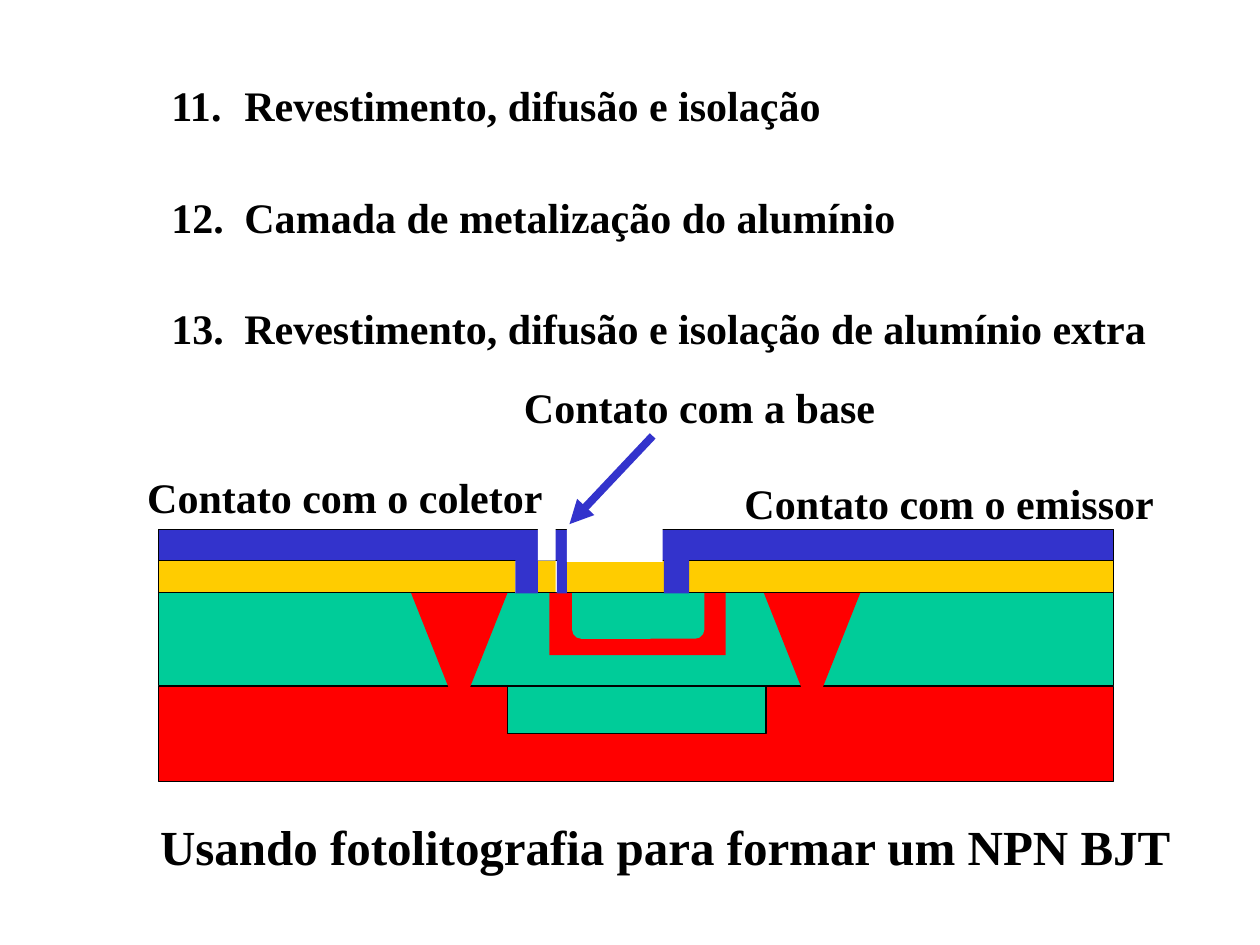
from dataclasses import dataclass
from lxml.etree import SubElement
from pptx import Presentation
from pptx.dml.color import RGBColor
from pptx.enum.shapes import MSO_CONNECTOR as Link, MSO_SHAPE as Kind
from pptx.enum.text import MSO_ANCHOR as Anchor, MSO_AUTO_SIZE as Auto, PP_ALIGN as Align
from pptx.oxml.ns import qn
from pptx.util import Inches, Pt

COLS, ROWS = 100, 75
WIDE, HIGH = Inches(10), Inches(7.5)
RED, GREEN, GOLD, BLUE = "FF0000", "00CC99", "FFCC00", "3333CC"
WHITE, BLACK = "FFFFFF", "000000"
FONT = "Times New Roman"


@dataclass
class Box:
    col: float
    row: float
    cols: float
    rows: float


@dataclass
class Part:
    box: Box
    fill: str
    edge: bool = False
    kind: int = Kind.RECTANGLE
    turn: int = 0


@dataclass
class Label:
    text: str
    box: Box


def layer(row: float, rows: float, fill: str) -> Part:
    return Part(Box(12.6, row, 75.8, rows), fill, True)


def wall(col: float) -> Part:
    return Part(Box(col, 47, 7.7, 9.7), RED, False, Kind.ISOSCELES_TRIANGLE, 180)


PARTS = [
    layer(54.5, 7.5, RED),
    Part(Box(40.3, 54.5, 20.5, 3.7), GREEN, True),
    layer(46.9, 7.5, GREEN),
    wall(32.6),
    wall(60.6),
    Part(Box(43.6, 47, 14, 5), RED),
    Part(Box(45.4, 46.3, 10.5, 4.4), GREEN, False, Kind.ROUNDED_RECTANGLE),
    layer(44.5, 2.5, GOLD),
    Part(Box(40.9, 43.4, 1.8, 3.65), WHITE),
    Part(Box(44.1, 43.8, 0.9, 3.2), WHITE),
    Part(Box(52.7, 43.3, 1.8, 3.7), WHITE),
    layer(42, 2.5, BLUE),
    Part(Box(40.9, 43, 1.8, 4.1), BLUE),
    Part(Box(44.2, 42.6, 0.8, 4.5), BLUE),
    Part(Box(52.7, 43.9, 2, 3.2), BLUE),
    Part(Box(42.7, 41.1, 1.4, 3.4), WHITE),
    Part(Box(45, 40.9, 7.6, 3.7), WHITE),
]
LABELS = [
    Label("Contato com o coletor", Box(10.7, 36.9, 33.4, 5)),
    Label("Contato com o emissor", Box(58.1, 37.4, 34.5, 5)),
    Label("Contato com a base", Box(40.6, 29.8, 29.8, 5)),
]
STEPS = [
    "11.\tRevestimento, difusão e isolação",
    "12.\tCamada de metalização do alumínio",
    "13.\tRevestimento, difusão e isolação de alumínio extra",
]


def hue(code: str) -> RGBColor:
    return RGBColor.from_string(code)


def across(col: float) -> int:
    return round(WIDE * col / COLS)


def down(row: float) -> int:
    return round(HIGH * row / ROWS)


def place(box: Box) -> tuple:
    return across(box.col), down(box.row), across(box.cols), down(box.rows)


def move(shape, box: Box) -> None:
    shape.left, shape.top, shape.width, shape.height = place(box)


def style(frame, size: float, wrap: bool) -> None:
    frame.word_wrap = wrap
    frame.auto_size = Auto.NONE
    frame.vertical_anchor = Anchor.TOP
    for para in frame.paragraphs:
        para.alignment = Align.LEFT
        para.line_spacing = 1.0
        para.space_before = Pt(0)
        for run in para.runs:
            font = run.font
            font.name, font.size, font.bold = FONT, Pt(size), True
            font.color.rgb = hue(BLACK)


def draw(slide, part: Part) -> None:
    shape = slide.shapes.add_shape(part.kind, *place(part.box))
    shape.shadow.inherit = False
    shape.rotation = part.turn
    shape.fill.solid()
    shape.fill.fore_color.rgb = hue(part.fill)
    if part.edge:
        shape.line.color.rgb = hue(BLACK)
        shape.line.width = Pt(0.75)
    else:
        shape.line.fill.background()


def write(slide, label: Label) -> None:
    frame = slide.shapes.add_textbox(*place(label.box)).text_frame
    frame.text = label.text
    style(frame, 24, False)


def point(slide, start: tuple, end: tuple) -> None:
    arrow = slide.shapes.add_connector(
        Link.STRAIGHT, across(start[0]), down(start[1]), across(end[0]), down(end[1]))
    arrow.line.color.rgb = hue(BLUE)
    arrow.line.width = Pt(4.5)
    SubElement(arrow.line._get_or_add_ln(), qn("a:tailEnd"), type="triangle")
    SubElement(arrow._element.spPr, qn("a:effectLst"))


def list_steps(body) -> None:
    move(body, Box(12.6, 5.8, 82, 22.4))
    frame = body.text_frame
    frame.text = "\n".join(STEPS)
    style(frame, 24, True)
    for rank, para in enumerate(frame.paragraphs):
        para.space_before = Pt(35 if rank else 0)
        props = para._p.get_or_add_pPr()
        props.set("marL", str(across(5.8)))
        props.set("indent", str(-across(5.8)))
        SubElement(props, qn("a:buNone"))


def main() -> None:
    deck = Presentation()
    deck.slide_width, deck.slide_height = WIDE, HIGH
    slide = deck.slides.add_slide(deck.slide_layouts[1])
    title, body = slide.placeholders
    move(title, Box(11.7, 64.3, 84, 5.7))
    title.text_frame.text = "Usando fotolitografia para formar um NPN BJT"
    style(title.text_frame, 28, True)
    list_steps(body)
    for part in PARTS:
        draw(slide, part)
    for label in LABELS:
        write(slide, label)
    point(slide, (51.8, 34.6), (45.2, 41.6))
    deck.save("out.pptx")


if __name__ == "__main__":
    main()
